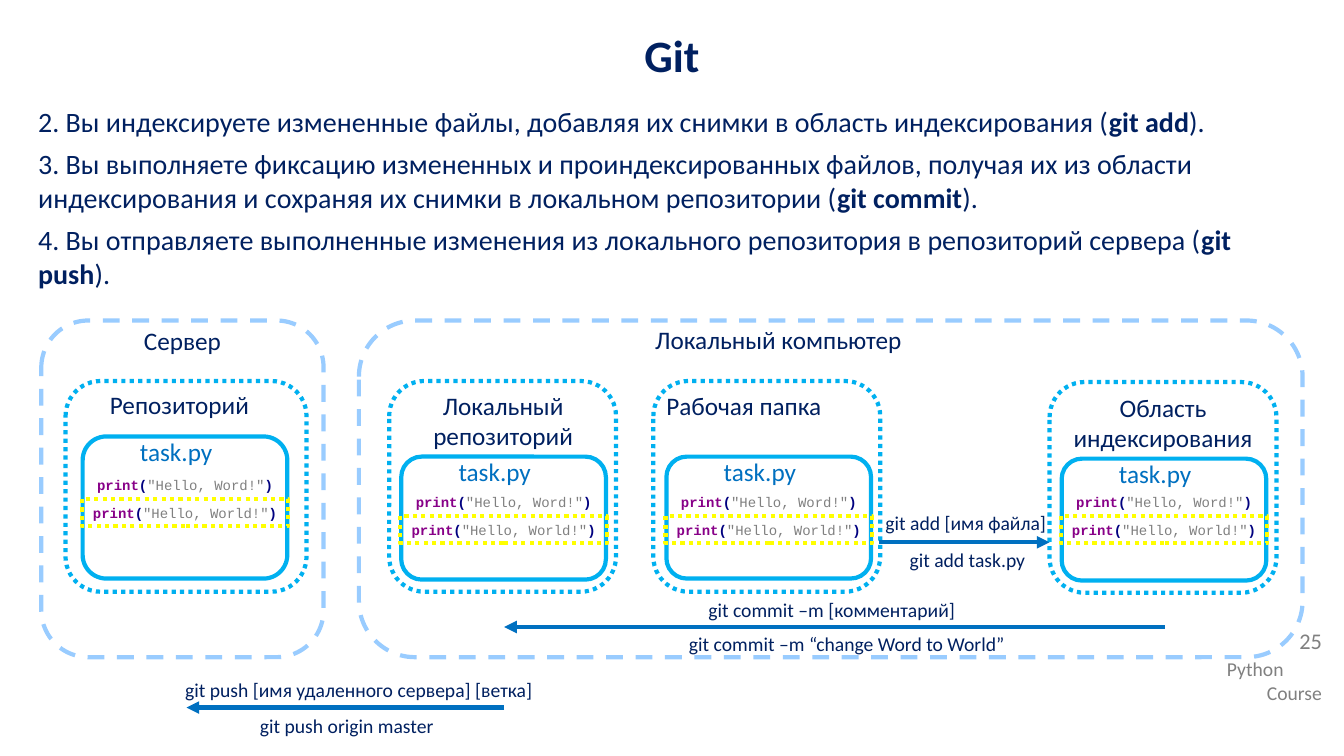
from lxml import etree
from pptx import Presentation
from pptx.dml.color import RGBColor
from pptx.enum.dml import MSO_LINE
from pptx.enum.shapes import MSO_CONNECTOR, MSO_SHAPE
from pptx.enum.text import PP_ALIGN
from pptx.oxml.ns import qn
from pptx.util import Inches, Pt

NAVY = RGBColor(0x00, 0x20, 0x60)
BLUE = RGBColor(0x00, 0x70, 0xC0)
CYAN = RGBColor(0x00, 0xB0, 0xF0)
PALE = RGBColor(0x99, 0xCC, 0xFF)
YELLOW = RGBColor(0xFF, 0xFF, 0x00)
GRAY = RGBColor(0x80, 0x80, 0x80)
PURPLE = RGBColor(0x88, 0x00, 0x88)
INK = RGBColor(0x00, 0x00, 0x80)
DOT, DASH = MSO_LINE.ROUND_DOT, MSO_LINE.DASH
LEFT, CENTER, RIGHT = PP_ALIGN.LEFT, PP_ALIGN.CENTER, PP_ALIGN.RIGHT
JUSTIFY = PP_ALIGN.JUSTIFY
ROUND, RECT = MSO_SHAPE.ROUNDED_RECTANGLE, MSO_SHAPE.RECTANGLE
STRAIGHT = MSO_CONNECTOR.STRAIGHT

STEPS = [
    ("2. Вы индексируете измененные файлы, добавляя их снимки в область "
     "индексирования (", "git add"),
    ("3. Вы выполняете фиксацию измененных и проиндексированных файлов, "
     "получая их из области индексирования и сохраняя их снимки в локальном "
     "репозитории (", "git commit"),
    ("4. Вы отправляете выполненные изменения из локального репозитория в "
     "репозиторий сервера (", "git push"),
]
# outer frame, label, label box
HOSTS = [
    ((0.41, 3.18, 2.8, 3.34), "Сервер", (0.41, 3.18, 2.8, 0.4)),
    ((3.56, 3.18, 9.36, 3.34), "Локальный компьютер", (3.56, 3.17, 8.32, 0.4)),
]
# frame, label, label box, alignment, file box, top of the code
STORES = [
    ((0.65, 3.78, 2.39, 2.09), "Репозиторий", (0.53, 3.81, 2.5, 0.4),
     CENTER, (0.82, 4.33, 2.03, 1.41), 4.68),
    ((3.86, 3.78, 2.25, 2.09), "Локальный репозиторий", (3.88, 3.82, 2.22, 0.71),
     CENTER, (3.98, 4.53, 2.03, 1.22), 4.85),
    ((6.48, 3.78, 2.25, 2.09), "Рабочая папка", (6.51, 3.82, 2.22, 0.4),
     LEFT, (6.61, 4.53, 2.03, 1.21), 4.85),
    ((10.41, 3.79, 2.25, 2.09), "Область индексирования", (10.41, 3.84, 2.25, 0.71),
     CENTER, (10.53, 4.55, 2.03, 1.21), 4.85),
]
# start x, end x, y
ARROWS = [(8.72, 10.41, 5.38), (11.55, 5, 6.22), (5, 1.85, 7.02)]
COMMANDS = [
    ("git add [имя файла]", (8.65, 5.02, 1.86, 0.34)),
    ("git add task.py", (8.72, 5.39, 1.75, 0.34)),
    ("git commit –m [комментарий]", (4.98, 5.88, 6.54, 0.34)),
    ("git commit –m “change Word to World”", (5.28, 6.22, 6.24, 0.34)),
    ("git push [имя удаленного сервера] [ветка]", (1.18, 6.68, 4.76, 0.34)),
    ("git push origin master", (1.06, 7.03, 4.76, 0.34)),
]

deck = Presentation()
deck.slide_width, deck.slide_height = Inches(13.33), Inches(7.5)
slide = deck.slides.add_slide(deck.slide_layouts[6])
shapes = slide.shapes


def inch(box):
    return [Inches(v) for v in box]


def style(para, size, color, align=LEFT, after=0, face="Calibri"):
    para.alignment = align
    para.space_after = Pt(after)
    font = para.font
    font.name, font.size, font.color.rgb = face, Pt(size), color


def label(text, box, size=18, color=NAVY, align=CENTER, after=6):
    frame = shapes.add_textbox(*inch(box)).text_frame
    frame.word_wrap = True
    frame.text = text
    style(frame.paragraphs[0], size, color, align, after)
    return frame


def outline(kind, box, color, dash=None):
    shape = shapes.add_shape(kind, *inch(box))
    shape.shadow.inherit = False
    shape.fill.background()
    shape.line.color.rgb = color
    shape.line.width = Pt(3)
    if dash:
        shape.line.dash_style = dash
    return shape


def code(frame, word):
    """Write a coloured print call into the frame."""
    frame.word_wrap = False
    para = frame.paragraphs[0]
    style(para, 10, INK, CENTER, face="Courier New")
    for text, color, bold in [("print", PURPLE, True), ("(", INK, True),
                              (f'"Hello, {word}!"', GRAY, False),
                              (")", INK, True)]:
        run = para.add_run()
        run.text = text
        run.font.color.rgb, run.font.bold = color, bold


def arrow(start, end, y):
    link = shapes.add_connector(STRAIGHT, *inch((start, y, end, y)))
    link.line.color.rgb = BLUE
    link.line.width = Pt(3)
    line = link.line._get_or_add_ln()
    etree.SubElement(line, qn("a:tailEnd"), type="triangle")
    etree.SubElement(link._element.spPr, qn("a:effectLst"))


course = label("Python", (12.07, 6.47, 1.14, 0.57), 14, GRAY, LEFT, 0)
last = course.add_paragraph()
last.text = "Course"
style(last, 14, GRAY, RIGHT)
number = label("25", (12.07, 6.2, 1.14, 0.45), 16, GRAY, RIGHT, 0)
number.paragraphs[0].line_spacing = 0.9

for frame, name, spot in HOSTS:
    outline(ROUND, frame, PALE, DASH)
    label(name, spot)

for frame, name, spot, align, sheet, top in STORES:
    outline(ROUND, frame, CYAN, DOT)
    label(name, spot, align=align)
    outline(ROUND, sheet, CYAN)
    x, y = sheet[:2]
    label("task.py", (x + 0.47, y - 0.05, 1, 0.4), color=BLUE, align=JUSTIFY)
    row = (x - 0.01, top, 2.05, 0.27)
    code(shapes.add_textbox(*inch(row)).text_frame, "Word")
    row = (x - 0.01, top + 0.27, 2.05, 0.27)
    code(outline(RECT, row, YELLOW, DOT).text_frame, "World")

for ends in ARROWS:
    arrow(*ends)
for text, spot in COMMANDS:
    label(text, spot, 14)

title = label("Git", (0, 0.23, 13.33, 0.76), 32)
title.paragraphs[0].font.bold = True

body = shapes.add_textbox(*inch((0.28, 0.99, 12.78, 1.95))).text_frame
body.word_wrap = True
for i, (text, command) in enumerate(STEPS):
    para = body.add_paragraph() if i else body.paragraphs[0]
    style(para, 20, NAVY, after=6)
    for part in (text, command, ")."):
        run = para.add_run()
        run.text = part
        run.font.bold = part == command

deck.save("out.pptx")
